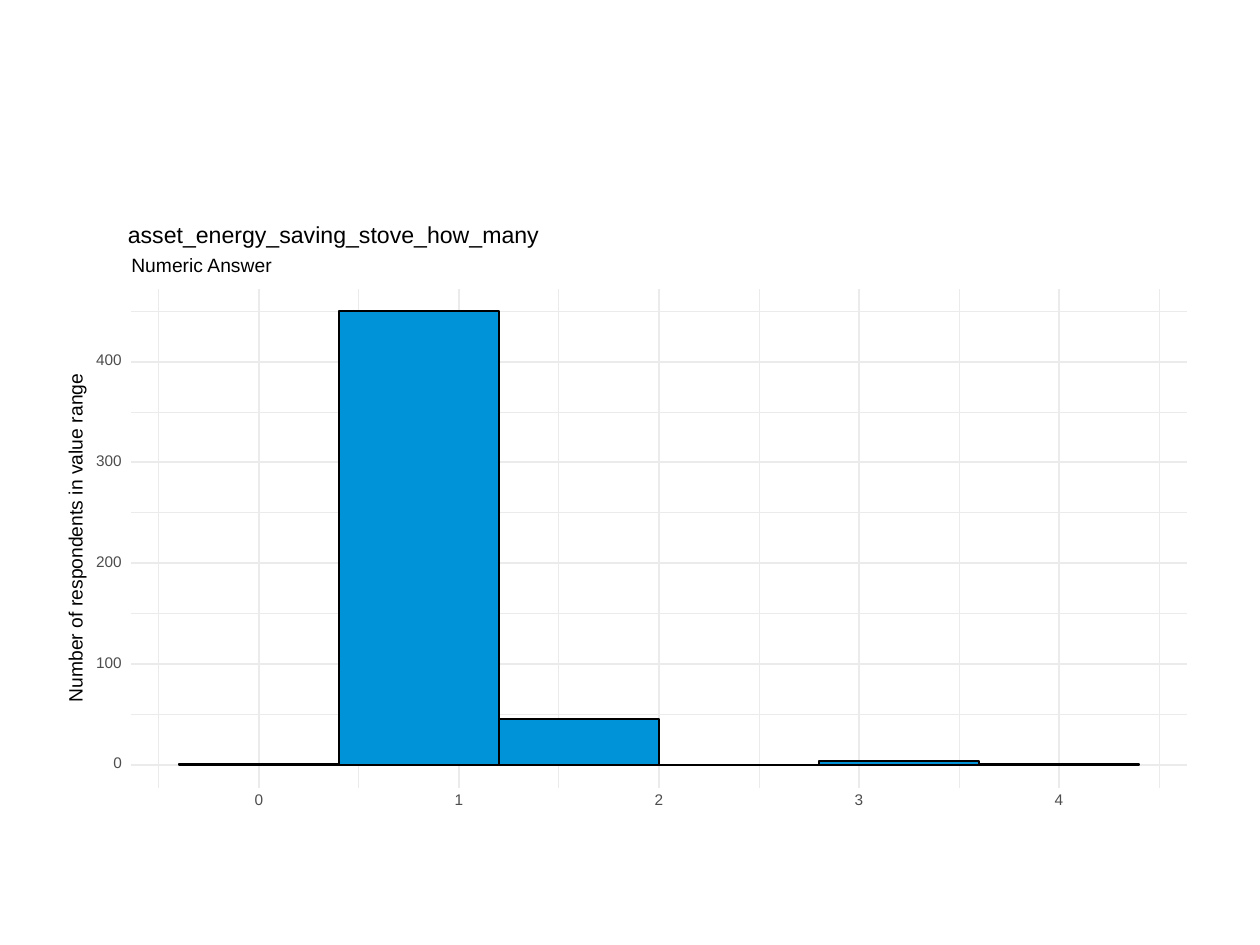
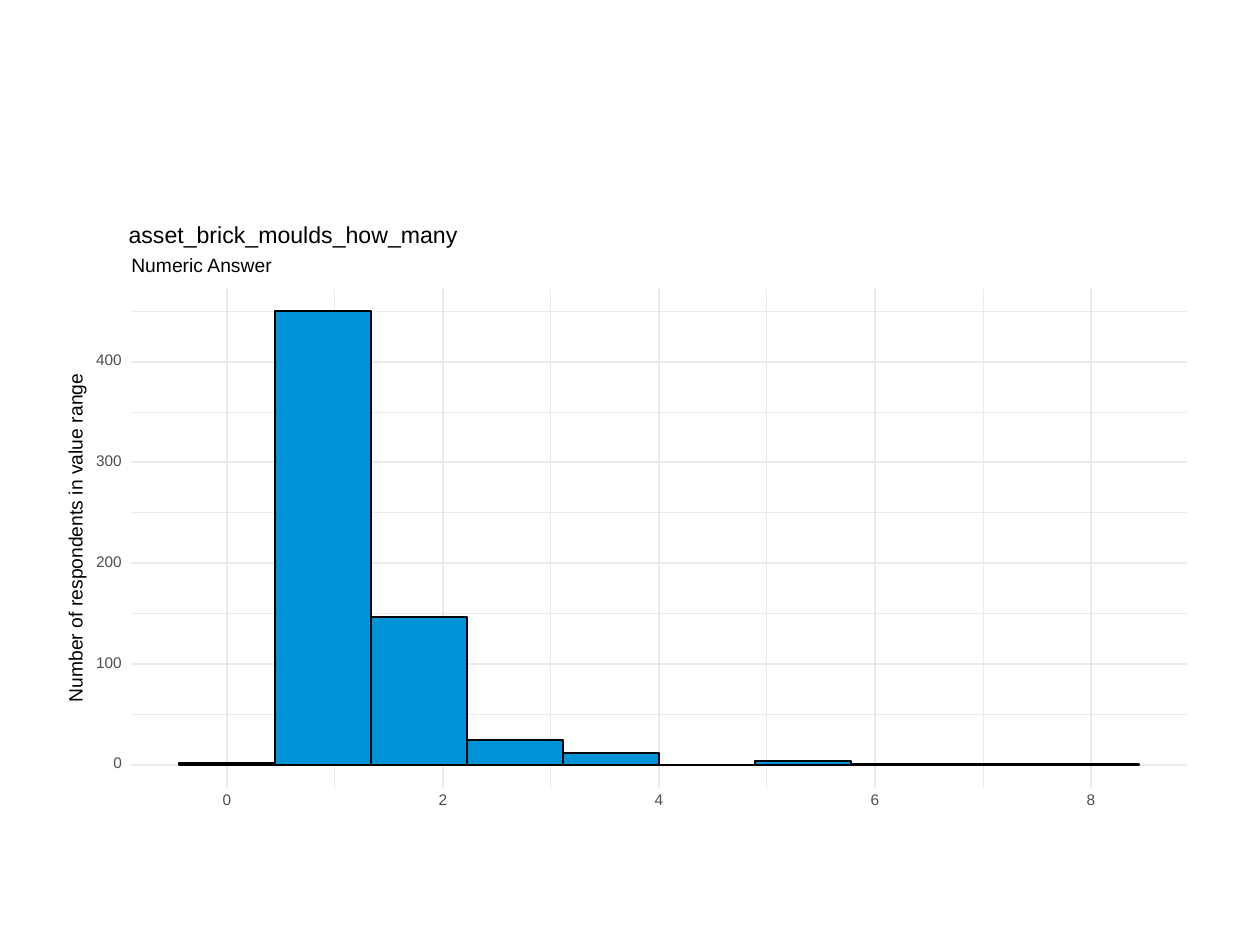
import lxml.etree
import pptx
import pptx.dml.color
import pptx.enum.shapes
import pptx.enum.text
import pptx.oxml.ns
import pptx.util

Inches = pptx.util.Inches
Pt = pptx.util.Pt
RGBColor = pptx.dml.color.RGBColor

WHITE = RGBColor(0xFF, 0xFF, 0xFF)
BLACK = RGBColor(0x00, 0x00, 0x00)
GREY = RGBColor(0x4D, 0x4D, 0x4D)
GRID = RGBColor(0xEB, 0xEB, 0xEB)
BLUE = RGBColor(0x00, 0x93, 0xD8)

LEFT, RIGHT, TOP, BOTTOM = 1.04, 9.42, 2.29, 6.25
BARS_LEFT, BARS_WIDTH = 1.42, 7.62
BASELINE, INCHES_PER_COUNT = 6.07, 0.008
THIN, THICK = 0.53, 1.07
DIGIT_WIDTH, DIGIT_HEIGHT = 0.07, 0.09

HISTOGRAMS = [
    dict(title="asset_energy_saving_stove_how_many", title_width=3.35,
         largest=4, step=1, counts=[1, 450, 45, 0, 4, 1]),
    dict(title="asset_brick_moulds_how_many", title_width=2.71,
         largest=8, step=2, counts=[2, 450, 147, 25, 12, 0, 4, 1, 1, 1]),
]


class Deck:
    font = "Arial"

    def __init__(self):
        self.prs = pptx.Presentation()
        self.prs.slide_width = Inches(10)
        self.prs.slide_height = Inches(7.5)
        self.s = None

    def slide(self):
        self.s = self.prs.slides.add_slide(self.prs.slide_layouts[6])

    def rect(self, x, y, w, h, fill, line, weight):
        sp = self.s.shapes.add_shape(
            pptx.enum.shapes.MSO_SHAPE.RECTANGLE,
            Inches(x), Inches(y), Inches(w), Inches(h))
        sp.shadow.inherit = False
        sp.fill.solid()
        sp.fill.fore_color.rgb = fill
        sp.line.color.rgb = line
        sp.line.width = Pt(weight)

    def line(self, x1, y1, x2, y2, weight):
        c = self.s.shapes.add_connector(
            pptx.enum.shapes.MSO_CONNECTOR.STRAIGHT,
            Inches(x1), Inches(y1), Inches(x2), Inches(y2))
        c.line.color.rgb = GRID
        c.line.width = Pt(weight)
        lxml.etree.SubElement(c._element.spPr, pptx.oxml.ns.qn("a:effectLst"))

    def text(self, text, x, y, w, h, size=11, color=BLACK, rotation=0):
        sp = self.s.shapes.add_textbox(Inches(x), Inches(y), Inches(w), Inches(h))
        sp.rotation = rotation
        tf = sp.text_frame
        tf.margin_left = tf.margin_right = tf.margin_top = tf.margin_bottom = 0
        tf.word_wrap = False
        tf.vertical_anchor = pptx.enum.text.MSO_ANCHOR.MIDDLE
        p = tf.paragraphs[0]
        p.alignment = pptx.enum.text.PP_ALIGN.CENTER
        p.line_spacing = Pt(size)
        r = p.add_run()
        r.text = text
        r.font.name = self.font
        r.font.size = Pt(size)
        r.font.color.rgb = color

    def tick(self, value, x, y):
        label = str(value)
        self.text(label, x, y, DIGIT_WIDTH * len(label), DIGIT_HEIGHT,
                  size=8.8, color=GREY)

    def grid(self, xs, ys, weight):
        for y in ys:
            self.line(LEFT, y, RIGHT, y, weight)
        for x in xs:
            self.line(x, BOTTOM, x, TOP, weight)

    def histogram(self, title, title_width, largest, step, counts):
        bin_width = largest / (len(counts) - 1)
        bar_width = BARS_WIDTH / len(counts)
        unit = bar_width / bin_width

        def x_at(value):
            return BARS_LEFT + bar_width / 2 + value * unit

        def y_at(count):
            return BASELINE - count * INCHES_PER_COUNT

        x_ticks = range(0, largest + 1, step)
        y_ticks = range(0, 401, 100)
        halves = [x_at(i * step - step / 2) for i in range(len(x_ticks) + 1)]

        self.rect(0.5, 1.75, 9, 4.95, WHITE, WHITE, 0.75)
        self.grid([x for x in halves if LEFT < x < RIGHT],
                  [y_at(v + 50) for v in y_ticks], THIN)
        self.grid([x_at(v) for v in x_ticks], [y_at(v) for v in y_ticks], THICK)

        for i, count in enumerate(counts):
            self.rect(BARS_LEFT + i * bar_width, y_at(count), bar_width,
                      count * INCHES_PER_COUNT, BLUE, BLACK, THICK)

        for v in y_ticks:
            self.tick(v, 0.97 - DIGIT_WIDTH * len(str(v)), y_at(v) - 0.05)
        for v in x_ticks:
            self.tick(v, x_at(v) - DIGIT_WIDTH / 2, 6.31)

        self.text("Number of respondents in value range", -0.76, 4.2, 2.74, 0.14,
                  rotation=270)
        self.text("Numeric Answer", 0.99, 2.06, 1.22, 0.11)
        self.text(title, 0.97, 1.79, title_width, 0.17, size=13.2)


def main():
    deck = Deck()
    for histogram in HISTOGRAMS:
        deck.slide()
        deck.histogram(**histogram)
    deck.prs.save("out.pptx")


if __name__ == "__main__":
    main()
